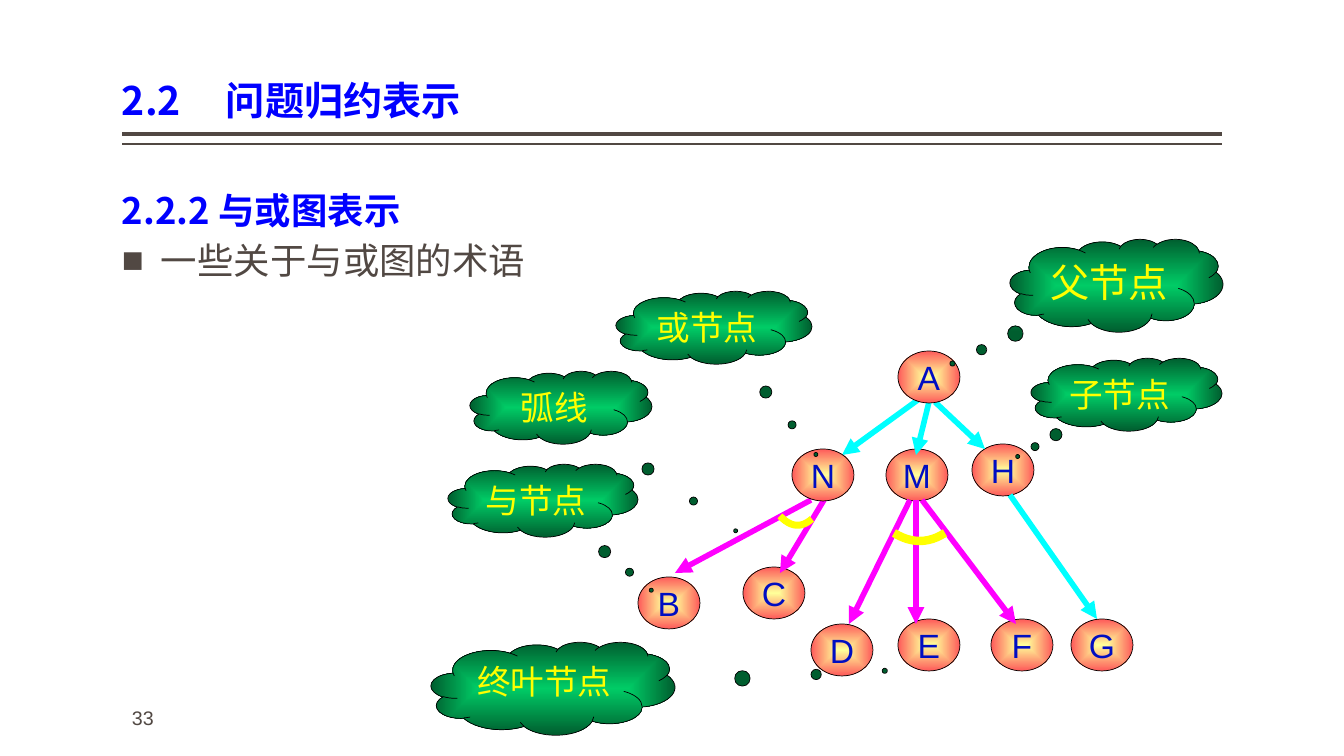
from dataclasses import dataclass

from lxml.etree import SubElement
from pptx import Presentation
from pptx.dml.color import RGBColor
from pptx.enum.shapes import MSO_CONNECTOR as Connector, MSO_SHAPE as Preset
from pptx.enum.text import MSO_ANCHOR as Anchor, PP_ALIGN as Align
from pptx.oxml.ns import qn
from pptx.util import Pt

SLIDE_WIDTH, SLIDE_HEIGHT = 1344, 756
EMU_PER_PX = 12192000 / SLIDE_WIDTH
NODE_SIZE = (62, 52)


@dataclass(frozen=True)
class Theme:
    heading: str = "0000FF"
    body: str = "514843"
    node_text: str = "000EC2"
    cloud_text: str = "FFFF00"
    outline: str = "000000"
    or_edge: str = "00FFFF"
    and_edge: str = "FF00FF"
    arc: str = "FFFF00"
    node_fill: tuple = ("FFFF99", "FE5A5A")
    cloud_fill: tuple = ("00CC66", "005E2F")
    latin: str = "Arial"
    chinese: str = "Noto Sans CJK SC"
    cloud_chinese: str = "Noto Sans CJK JP"
    title_size: int = 28
    body_size: int = 26
    label_size: int = 24
    number_size: int = 14


THEME = Theme()

NODES = {"H": (972, 444), "M": (886, 449), "B": (638, 577), "C": (743, 567),
         "D": (811, 624), "E": (898, 619), "F": (991, 619), "G": (1071, 619)}
FRONT_NODES = {"A": (898, 351), "N": (792, 449)}

EDGES = {
    THEME.or_edge: [(929, 402, 916, 455), (935, 402, 985, 449),
                    (922, 397, 842, 455), (1010, 495, 1097, 619)],
    THEME.and_edge: [(811, 500, 675, 573), (824, 500, 780, 573),
                     (910, 500, 849, 624), (916, 500, 916, 624),
                     (922, 500, 1016, 624)],
}

# text, frame, pointer offset, type size, latin face
CLOUDS = [
    ("父节点", (1010, 239, 213, 93), (-0.77, 0.84), THEME.title_size, THEME.cloud_chinese),
    ("与节点", (448, 464, 190, 73), (0.57, 1.23), THEME.label_size, THEME.latin),
    ("弧线", (470, 371, 182, 73), (0.96, 1.69), THEME.label_size, THEME.latin),
    ("或节点", (616, 291, 196, 73), (0.52, 1.74), THEME.label_size, THEME.latin),
    ("子节点", (1031, 358, 191, 73), (-0.57, 0.85), THEME.label_size, THEME.latin),
    ("终叶节点", (431, 642, 244, 93), (1.36, -0.19), THEME.label_size, THEME.latin),
]


def px(*lengths):
    return [round(length * EMU_PER_PX) for length in lengths]


def apply(target, values):
    for name, value in values.items():
        setattr(target, name, value)


class Painter:
    def __init__(self, page, theme):
        self.shapes = page.shapes
        self.theme = theme

    def label(self, frame, text, color, size, face, asian=None, bold=False, **layout):
        para = frame.paragraphs[0]
        apply(para, layout)
        span = para.add_run()
        span.text = text
        apply(span.font, {"size": Pt(size), "bold": bold, "name": face})
        span.font.color.rgb = RGBColor.from_string(color)
        SubElement(span._r.get_or_add_rPr(), qn("a:ea"), typeface=asian or face)
        return para

    def text(self, words, frame, color, size, face, anchor=Anchor.TOP, inset=0, **style):
        box = self.shapes.add_textbox(*px(*frame)).text_frame
        side, = px(inset)
        apply(box, {"word_wrap": True, "vertical_anchor": anchor,
                    "margin_left": side, "margin_right": side})
        return self.label(box, words, color, size, face, **style)

    def bullet(self, para, indent):
        width, = px(indent)
        props = para._p.get_or_add_pPr()
        for name, value in {"marL": width, "indent": -width}.items():
            props.set(name, str(value))
        SubElement(props, qn("a:buFont"), typeface=self.theme.latin)
        SubElement(props, qn("a:buChar"), char="■")

    def tab(self, para, position):
        stops = SubElement(para._p.get_or_add_pPr(), qn("a:tabLst"))
        SubElement(stops, qn("a:tab"), pos=str(px(position)[0]), algn="l")

    def glowing_shape(self, preset, frame, colors, spread):
        """Add a thinly outlined shape whose gradient spreads from its centre."""
        shape = self.shapes.add_shape(preset, *px(*frame))
        shape.shadow.inherit = False
        shape.fill.gradient()
        for stop, color in zip(shape.fill.gradient_stops, colors):
            stop.color.rgb = RGBColor.from_string(color)
        gradient = shape._element.spPr.find(qn("a:gradFill"))
        gradient.remove(gradient.find(qn("a:lin")))
        centre = SubElement(gradient, qn("a:path"), {"path": spread})
        SubElement(centre, qn("a:fillToRect"), {side: "50000" for side in "ltrb"})
        self.stroke(shape.line, self.theme.outline, 0.5)
        return shape

    def stroke(self, line, color, width):
        line.color.rgb = RGBColor.from_string(color)
        line.width = Pt(width)

    def node(self, letter, corner):
        shape = self.glowing_shape(Preset.OVAL, (*corner, *NODE_SIZE),
                                   self.theme.node_fill, "shape")
        apply(shape.text_frame, {"word_wrap": False, "vertical_anchor": Anchor.MIDDLE})
        self.label(shape.text_frame, letter, self.theme.node_text,
                   self.theme.label_size, self.theme.latin, alignment=Align.CENTER)

    def cloud(self, words, frame, pointer, size, face):
        shape = self.glowing_shape(Preset.CLOUD_CALLOUT, frame,
                                   self.theme.cloud_fill, "rect")
        for index, offset in enumerate(pointer):
            shape.adjustments[index] = offset
        shape.text_frame.vertical_anchor = Anchor.TOP
        self.label(shape.text_frame, words, self.theme.cloud_text, size, face,
                   asian=self.theme.cloud_chinese, alignment=Align.CENTER)

    def line(self, ends, color, width, arrow=False):
        connector = self.shapes.add_connector(Connector.STRAIGHT, *px(*ends))
        self.stroke(connector.line, color, width)
        if arrow:
            SubElement(connector.line._get_or_add_ln(), qn("a:tailEnd"), type="triangle")
        SubElement(connector._element.spPr, qn("a:effectLst"))

    def arc(self, start, control, end, width, steps=12):
        """Draw an open quadratic curve as short straight segments."""
        points = []
        for step in range(steps + 1):
            t = step / steps
            points.append(px(*((1 - t) ** 2 * a + 2 * t * (1 - t) * b + t ** 2 * c
                               for a, b, c in zip(start, control, end))))
        builder = self.shapes.build_freeform(*points[0])
        builder.add_line_segments(points[1:], close=False)
        curve = builder.convert_to_shape()
        curve.shadow.inherit = False
        curve.fill.background()
        self.stroke(curve.line, self.theme.arc, width)


def main():
    deck = Presentation()
    deck.slide_width, deck.slide_height = px(SLIDE_WIDTH, SLIDE_HEIGHT)
    page = deck.slides.add_slide(deck.slide_layouts[6])
    painter = Painter(page, THEME)

    for y, width in ((134, 3), (144, 1)):
        painter.line((1222, y, 122, y), THEME.body, width)
    painter.text("33", (122, 701, 202, 40), THEME.body, THEME.number_size,
                 THEME.latin, inset=10)
    title = painter.text("2.2\t问题归约表示", (122, 8, 1100, 121), THEME.heading,
                         THEME.title_size, THEME.chinese, anchor=Anchor.BOTTOM,
                         bold=True, line_spacing=0.9)
    painter.tab(title, 104)
    painter.text("2.2.2 与或图表示", (122, 161, 1100, 85), THEME.heading,
                 THEME.body_size, THEME.chinese, bold=True, line_spacing=1.5)
    term = painter.text("一些关于与或图的术语", (122, 238, 888, 83), THEME.body,
                        THEME.body_size, THEME.chinese, line_spacing=0.9)
    painter.bullet(term, 39)

    for letter, corner in NODES.items():
        painter.node(letter, corner)
    for color, edges in EDGES.items():
        for ends in edges:
            painter.line(ends, color, 4, arrow=True)
    for letter, corner in FRONT_NODES.items():
        painter.node(letter, corner)
    painter.arc((780, 516), (796, 533), (812, 519), 5)
    for cloud in CLOUDS:
        painter.cloud(*cloud)
    painter.arc((894, 533), (920, 549), (945, 533), 6)

    deck.save("out.pptx")


if __name__ == "__main__":
    main()
